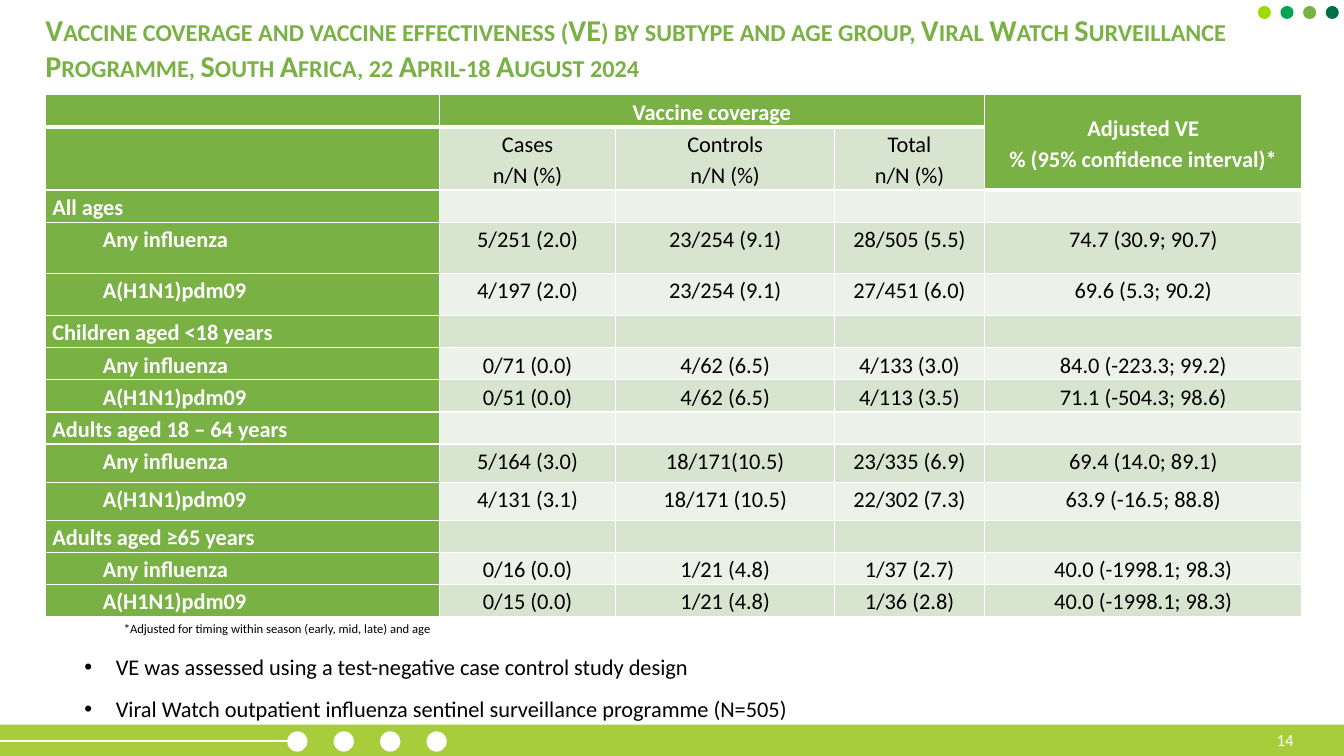
from lxml import etree
from pptx import Presentation
from pptx.dml.color import RGBColor
from pptx.enum import shapes, text
from pptx.oxml import ns
from pptx.util import Cm, Pt

# Content
TITLE = ("Vaccine coverage and vaccine effectiveness (VE) by subtype and age group, "
         "Viral Watch Surveillance Programme, South Africa, 22 April-18 August 2024")
COVERAGE = "Vaccine coverage"
EFFECTIVENESS = ["Adjusted VE", "% (95% confidence interval)*"]
COVERAGE_COLUMNS = ["Cases", "Controls", "Total"]
COVERAGE_UNIT = "n/N (%)"
SUBTYPES = ["Any influenza", "A(H1N1)pdm09"]
AGE_GROUPS = [
    ("All ages", [
        ("5/251 (2.0)", "23/254 (9.1)", "28/505 (5.5)", "74.7 (30.9; 90.7)"),
        ("4/197 (2.0)", "23/254 (9.1)", "27/451 (6.0)", "69.6 (5.3; 90.2)")]),
    ("Children aged <18 years", [
        ("0/71 (0.0)", "4/62 (6.5)", "4/133 (3.0)", "84.0 (-223.3; 99.2)"),
        ("0/51 (0.0)", "4/62 (6.5)", "4/113 (3.5)", "71.1 (-504.3; 98.6)")]),
    ("Adults aged 18 – 64 years", [
        ("5/164 (3.0)", "18/171(10.5)", "23/335 (6.9)", "69.4 (14.0; 89.1)"),
        ("4/131 (3.1)", "18/171 (10.5)", "22/302 (7.3)", "63.9 (-16.5; 88.8)")]),
    ("Adults aged ≥65 years", [
        ("0/16 (0.0)", "1/21 (4.8)", "1/37 (2.7)", "40.0 (-1998.1; 98.3)"),
        ("0/15 (0.0)", "1/21 (4.8)", "1/36 (2.8)", "40.0 (-1998.1; 98.3)")]),
]
FOOTNOTE = "*Adjusted for timing within season (early, mid, late) and age"
NOTES = ["VE was assessed using a test-negative case control study design",
         "Viral Watch outpatient influenza sentinel surveillance programme (N=505)"]
PAGE_NUMBER = "14"

# Look
FONT = "Calibri"
COLORS = {"green": "79B144", "band": "D7E4CF", "pale": "ECF2E9", "footer": "A7CD3A",
          "white": "FFFFFF", "black": "000000", "lime": "9DDB04",
          "emerald": "00A652", "forest": "006F44"}
COLUMN_WIDTHS = [9.93, 4.45, 5.51, 3.78, 8.0]
ROW_HEIGHT = 0.81
TALL_ROWS = {1: 1.59, 3: 1.29, 4: 1.06, 9: 0.96, 10: 0.96}
LEFT, CENTER, RIGHT = text.PP_ALIGN.LEFT, text.PP_ALIGN.CENTER, text.PP_ALIGN.RIGHT


def rgb(name):
    return RGBColor.from_string(COLORS[name])


def write(frame, lines, size=16, color="black", bold=False, align=LEFT, spacing=1.15,
          after=0, indent=0, bullet=None, small_caps=False):
    """Fill a text frame with one paragraph per line."""
    for index, line in enumerate(lines):
        paragraph = frame.paragraphs[0] if index == 0 else frame.add_paragraph()
        properties = paragraph._p.get_or_add_pPr()
        if indent:
            properties.set("marL", str(Cm(indent)))
        if bullet:
            properties.set("indent", str(-Cm(indent)))
            etree.SubElement(properties, ns.qn("a:buFont"), typeface="Arial")
            etree.SubElement(properties, ns.qn("a:buChar"), char=bullet)
        paragraph.alignment = align
        paragraph.line_spacing = spacing
        paragraph.space_after = Pt(after)
        run = paragraph.add_run()
        run.text = line
        run.font.name, run.font.size, run.font.bold = FONT, Pt(size), bold
        run.font.color.rgb = rgb(color)
        if small_caps:
            run.font._element.set("cap", "small")


def add_text(slide, box, lines, anchor=text.MSO_ANCHOR.TOP, **style):
    frame = slide.shapes.add_textbox(*map(Cm, box)).text_frame
    frame.word_wrap = True
    frame.vertical_anchor = anchor
    write(frame, lines, **style)


def add_plain_shape(slide, kind, box, color):
    shape = slide.shapes.add_shape(kind, *map(Cm, box))
    shape.shadow.inherit = False
    shape.fill.solid()
    shape.fill.fore_color.rgb = rgb(color)
    shape.line.fill.background()


def add_dots(slide, left, top, size, step, colors):
    for index, color in enumerate(colors):
        add_plain_shape(slide, shapes.MSO_SHAPE.OVAL,
                        (left + index * step, top, size, size), color)


def format_cell(cell, fill, top=1, bottom=1):
    """White borders of the given point widths, then the fill."""
    properties = cell._tc.get_or_add_tcPr()
    for tag, width in (("lnL", 1), ("lnR", 1), ("lnT", top), ("lnB", bottom)):
        line = etree.SubElement(properties, ns.qn(f"a:{tag}"), w=str(Pt(width)))
        solid = etree.SubElement(line, ns.qn("a:solidFill"))
        etree.SubElement(solid, ns.qn("a:srgbClr"), val=COLORS["white"])
    cell.margin_left = cell.margin_right = Cm(0.18)
    cell.margin_top = cell.margin_bottom = 0
    cell.fill.solid()
    cell.fill.fore_color.rgb = rgb(fill)


def add_coverage_table(slide):
    heights = [TALL_ROWS.get(row, ROW_HEIGHT)
               for row in range(2 + len(AGE_GROUPS) * (1 + len(SUBTYPES)))]
    last = len(COLUMN_WIDTHS) - 1
    frame = slide.shapes.add_table(len(heights), len(COLUMN_WIDTHS), Cm(1.14), Cm(2.39),
                                   Cm(sum(COLUMN_WIDTHS)), Cm(sum(heights)))
    table = frame.table
    table.first_row = table.horz_banding = False
    for column, width in zip(table.columns, COLUMN_WIDTHS):
        column.width = Cm(width)

    # Heights, fills and borders
    for row, height in enumerate(heights):
        table.rows[row].height = Cm(height)
        for column in range(last + 1):
            header_end = 1 if column == last else 0
            in_header = column == 0 or row <= header_end
            fill = "green" if in_header else ("band" if row % 2 else "pale")
            format_cell(table.cell(row, column), fill,
                        top=3 if row == header_end + 1 else 1,
                        bottom=3 if row == header_end else 1)

    def fill_in(row, column, lines, middle=False, **style):
        cell = table.cell(row, column)
        if middle:
            cell.vertical_anchor = text.MSO_ANCHOR.MIDDLE
        write(cell.text_frame, lines, **style)

    # Header rows
    heading = {"color": "white", "bold": True}
    table.cell(0, 1).merge(table.cell(0, last - 1))
    table.cell(0, last).merge(table.cell(1, last))
    fill_in(0, 1, [COVERAGE], middle=True, align=CENTER, **heading)
    fill_in(0, last, EFFECTIVENESS, middle=True, align=CENTER, **heading)
    for column, name in enumerate(COVERAGE_COLUMNS, 1):
        fill_in(1, column, [name, COVERAGE_UNIT], middle=True, align=CENTER)

    # Age groups, each followed by its subtypes
    row = 2
    for group, results in AGE_GROUPS:
        fill_in(row, 0, [group], **heading)
        for row, (subtype, values) in enumerate(zip(SUBTYPES, results), row + 1):
            fill_in(row, 0, [subtype], indent=1.27, **heading)
            for column, value in enumerate(values, 1):
                fill_in(row, column, [value], align=CENTER)
        row += 1


def main():
    presentation = Presentation()
    presentation.slide_width, presentation.slide_height = Cm(33.87), Cm(19.05)
    slide = presentation.slides.add_slide(presentation.slide_layouts[5])

    # Footer band and corner dots
    add_plain_shape(slide, shapes.MSO_SHAPE.RECTANGLE, (0, 18.26, 33.87, 0.79), "footer")
    rule = slide.shapes.add_connector(shapes.MSO_CONNECTOR.STRAIGHT,
                                      0, Cm(18.67), Cm(7.32), Cm(18.67))
    rule.line.color.rgb = rgb("white")
    rule.line.width = Pt(2)
    etree.SubElement(rule._element.spPr, ns.qn("a:effectLst"))
    add_dots(slide, 7.24, 18.43, 0.51, 1.17, ["white"] * 4)
    add_dots(slide, 31.7, 0.15, 0.33, 0.57, ["lime", "emerald", "green", "forest"])

    # Title
    title = slide.shapes.title
    title.left, title.top, title.width, title.height = map(Cm, (0.89, 0.3, 30.3, 1.8))
    title.text_frame.word_wrap = True
    title.text_frame.auto_size = text.MSO_AUTO_SIZE.NONE
    title.text_frame.vertical_anchor = text.MSO_ANCHOR.MIDDLE
    write(title.text_frame, [TITLE], size=21.6, color="green", bold=True,
          spacing=1.0, small_caps=True)

    # Table, notes and page number
    add_coverage_table(slide)
    add_text(slide, (2.87, 15.47, 10.39, 0.71), [FOOTNOTE], size=9)
    add_text(slide, (1.88, 16.23, 20.93, 2.11), NOTES, after=8, indent=0.79, bullet="•")
    add_text(slide, (25.76, 18.26, 7.09, 0.79), [PAGE_NUMBER], size=12, color="white",
             align=RIGHT, spacing=1.0, anchor=text.MSO_ANCHOR.MIDDLE)
    presentation.save("out.pptx")


if __name__ == "__main__":
    main()
